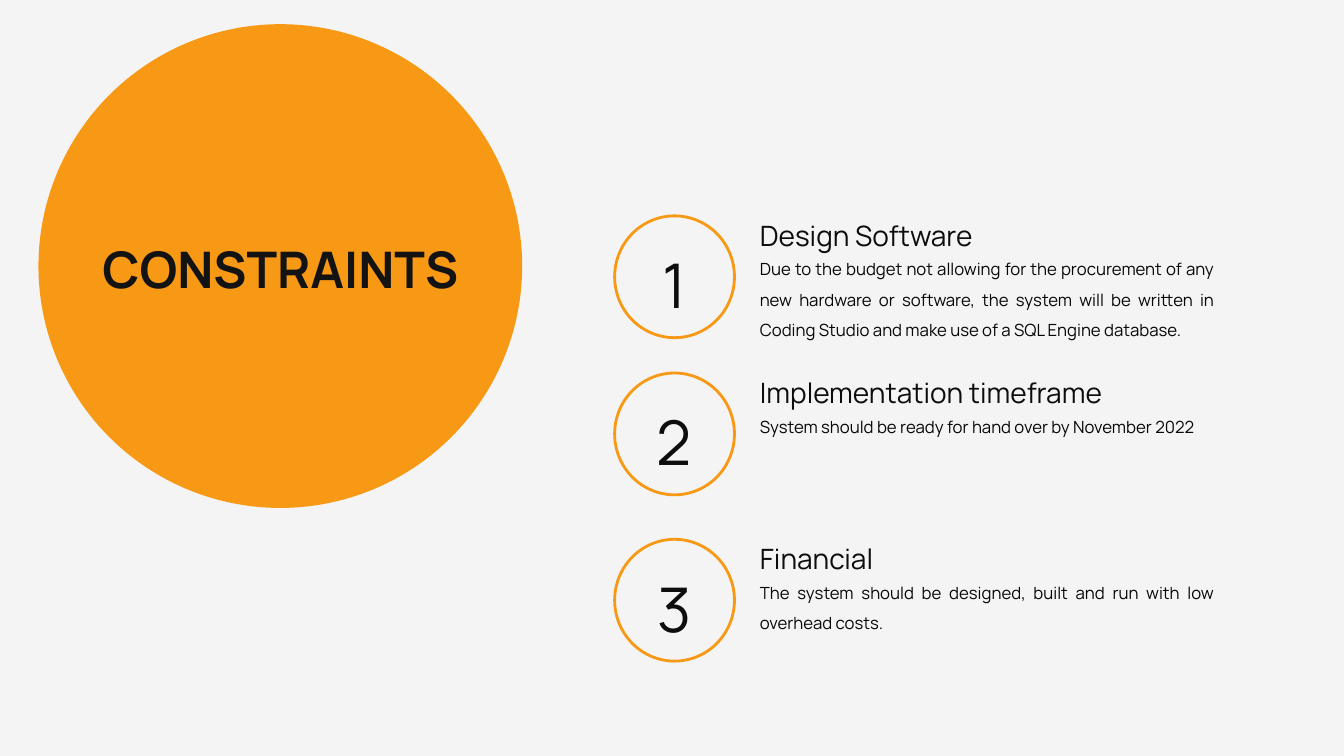
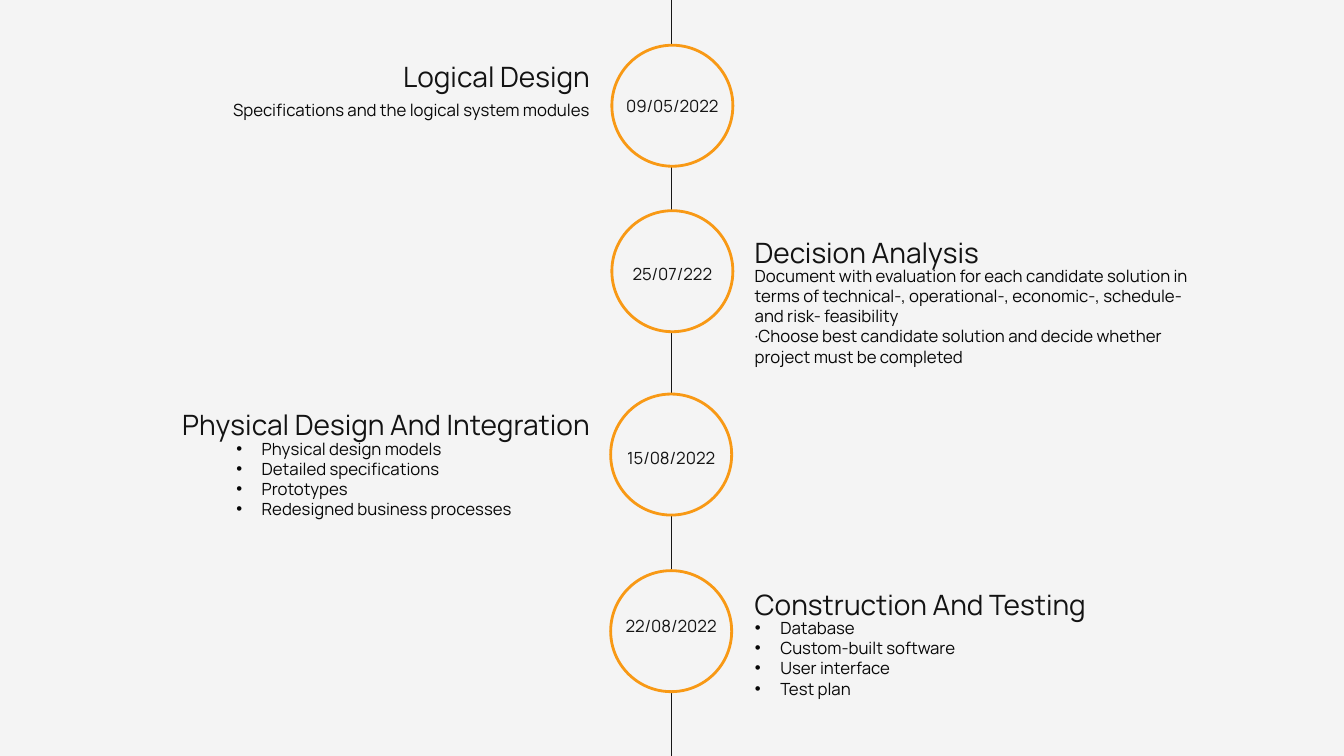
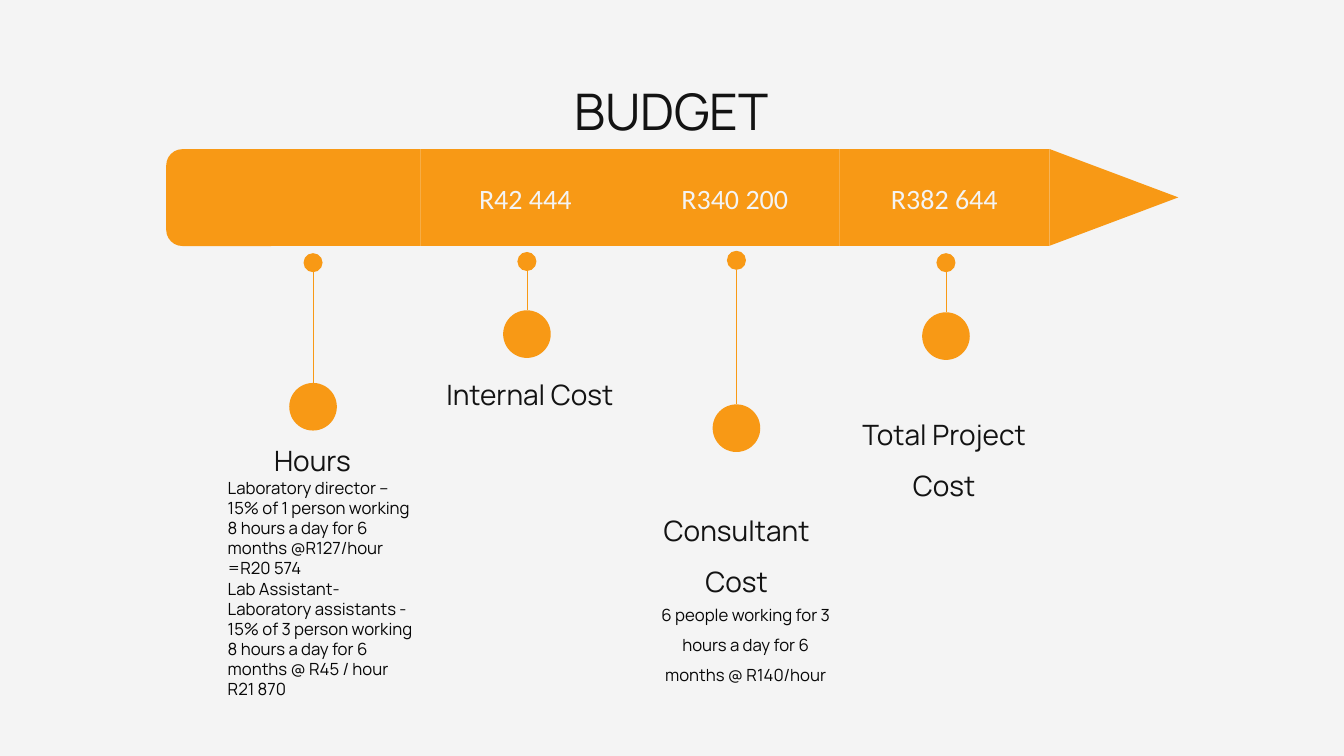
from pptx import Presentation
from pptx.dml.color import RGBColor
from pptx.enum.shapes import MSO_CONNECTOR, MSO_SHAPE
from pptx.enum.text import MSO_ANCHOR, MSO_AUTO_SIZE, PP_ALIGN
from pptx.oxml.ns import qn
from pptx.util import Cm, Pt
from lxml import etree

# Shared look
COLORS = {"paper": "F4F4F4", "accent": "F89915", "ink": "131313",
          "dark": "0D0D0D", "body": "070707", "line": "171717"}
FONTS = {
    "title": ("ink", {"name": "Manrope", "size": Pt(36), "bold": False}),
    "strong title": ("ink", {"name": "Manrope", "size": Pt(36), "bold": True}),
    "heading": ("ink", {"name": "Manrope", "size": Pt(20)}),
    "dark heading": ("dark", {"name": "Manrope", "size": Pt(20)}),
    "number": ("dark", {"name": "Manrope", "size": Pt(44)}),
    "date": ("ink", {"name": "Manrope", "size": Pt(12)}),
    "body": ("body", {"name": "Manrope", "size": Pt(12)}),
    "amount": ("paper", {"name": "Calibri", "size": Pt(20)}),
}
FRAME = {"word_wrap": True, "auto_size": MSO_AUTO_SIZE.NONE,
         "vertical_anchor": MSO_ANCHOR.TOP}
LEFT, CENTER, RIGHT, JUSTIFY = (PP_ALIGN.LEFT, PP_ALIGN.CENTER,
                                PP_ALIGN.RIGHT, PP_ALIGN.JUSTIFY)
TITLE_ONLY, TWO_CONTENT = 5, 3


def rgb(name):
    return RGBColor.from_string(COLORS[name])


def set_attrs(obj, values):
    for key, value in values.items():
        setattr(obj, key, value)


def write(sp, lines, style, align, spacing):
    """Fill a text box or placeholder, one paragraph per line."""
    tf = sp.text_frame
    set_attrs(tf, FRAME)
    color, font = FONTS[style]
    for i, line in enumerate(lines):
        p = tf.add_paragraph() if i else tf.paragraphs[0]
        set_attrs(p, {"alignment": align, "line_spacing": spacing,
                      "space_before": Pt(0)})
        r = p.add_run()
        r.text = line
        set_attrs(r.font, font)
        r.font.color.rgb = rgb(color)


def add_text(slide, box, text, style, align=CENTER, spacing=1.5):
    sp = slide.shapes.add_textbox(*map(Cm, box))
    write(sp, text.split("\n"), style, align, spacing)


def place(sp, box):
    set_attrs(sp, dict(zip(("left", "top", "width", "height"), map(Cm, box))))


def add_title(slide, box, text, style):
    sp = slide.shapes.title
    place(sp, box)
    write(sp, [text], style, CENTER, 1.5)
    slide.shapes._spTree.append(sp._element)  # in front of the shapes


def add_list(sp, box, items, indent):
    place(sp, box)
    write(sp, items, "body", LEFT, 1.0)
    for p in sp.text_frame.paragraphs:
        pPr = p._p.get_or_add_pPr()
        pPr.set("marL", str(Cm(indent)))
        pPr.set("indent", str(-Cm(0.64)))
        etree.SubElement(pPr, qn("a:buFont")).set("typeface", "Arial")
        etree.SubElement(pPr, qn("a:buChar")).set("char", "•")


def add_shape(slide, kind, box, fill=None, line=None):
    sp = slide.shapes.add_shape(kind, *map(Cm, box))
    sp.shadow.inherit = False
    if fill:
        sp.fill.solid()
        sp.fill.fore_color.rgb = rgb(fill)
    else:
        sp.fill.background()
    if line:
        sp.line.color.rgb = rgb(line)
        sp.line.width = Pt(2)
    else:
        sp.line.fill.background()
    return sp


def add_vline(slide, x, top, bottom, color):
    ln = slide.shapes.add_connector(MSO_CONNECTOR.STRAIGHT,
                                    Cm(x), Cm(top), Cm(x), Cm(bottom))
    ln.line.color.rgb = rgb(color)
    ln.line.width = Pt(0.5)
    etree.SubElement(ln._element.spPr, qn("a:effectLst"))


def new_slide(prs, layout):
    return prs.slides.add_slide(prs.slide_layouts[layout])


def constraints_slide(prs):
    slide = new_slide(prs, TITLE_ONLY)
    rows = [
        (5.44, "Design Software",
         "Due to the budget not allowing for the procurement of any new hardware "
         "or software, the system will be written in Coding Studio and make use "
         "of a SQL Engine database."),
        (9.4, "Implementation timeframe",
         "System should be ready for hand over by November 2022"),
        (13.59, "Financial",
         "The system should be designed, built and run with low overhead costs."),
    ]
    for n, (top, heading, text) in enumerate(rows, 1):
        add_shape(slide, MSO_SHAPE.OVAL, (15.49, top, 3.02, 3.07), line="accent")
        add_text(slide, (15.49, top - 0.27, 3.02, 3.07), str(n), "number")
        add_text(slide, (18.9, top + 0.71, 11.96, 2.46), text, "body", JUSTIFY)
        add_text(slide, (18.9, top - 0.48, 11.96, 1.4), heading,
                 "dark heading", JUSTIFY)
    add_shape(slide, MSO_SHAPE.OVAL, (0.97, 0.61, 12.19, 12.19), "accent")
    add_title(slide, (-1.52, 5.11, 17.17, 2.29), "CONSTRAINTS", "strong title")


def timeline_slide(prs):
    slide = new_slide(prs, TWO_CONTENT)
    title, *bodies = slide.placeholders
    title._element.getparent().remove(title._element)
    add_vline(slide, 16.93, 0, 19.05, "line")

    # Circle left and top, date top, date, text side, heading top, heading
    stages = [
        (15.42, 1.14, 2.03, "09/05/2022", RIGHT, 0.94, "Logical Design"),
        (15.42, 5.31, 6.27, "25/07/222", LEFT, 5.38, "Decision Analysis"),
        (15.39, 9.93, 10.9, "15/08/2022", RIGHT, 9.73,
         "Physical Design And Integration"),
        (15.39, 14.38, 15.14, "22/08/2022", LEFT, 14.25,
         "Construction And Testing"),
    ]
    details = []
    for x, top, date_top, date, align, text_top, heading in stages:
        add_shape(slide, MSO_SHAPE.OVAL, (x, top, 3.05, 3.05), "paper", "accent")
        add_text(slide, (x, date_top, 3.05, 0.94), date, "date")
        left = 3.16 if align == RIGHT else 18.77
        add_text(slide, (left, text_top, 11.96, 1.4), heading, "heading", align)
        details.append((left, text_top + 1.19, 11.96, 2.4))

    # Text under the headings
    logical, decision, physical, construction = details
    add_text(slide, logical, "Specifications and the logical system modules",
             "body", RIGHT)
    add_text(slide, decision,
             "Document with evaluation for each candidate solution in terms of "
             "technical-, operational-, economic-, schedule- and risk- feasibility\n"
             "·Choose best candidate solution and decide whether project must be "
             "completed", "body", LEFT, 1.0)
    add_list(bodies[0], physical,
             ["Physical design models", "Detailed specifications", "Prototypes",
              "Redesigned business processes"], 3.18)
    add_list(bodies[1], construction,
             ["Database", "Custom-built software", "User interface", "Test plan"],
             0.64)


def budget_slide(prs):
    slide = new_slide(prs, TITLE_ONLY)
    # Pencil-shaped bar
    top, height, cell = 3.76, 2.44, 5.28
    add_shape(slide, MSO_SHAPE.ROUNDED_RECTANGLE, (4.19, top, 3.05, height),
              "accent")
    for i, amount in enumerate(["", "R42 444", "R340 200", "R382 644"]):
        x = 5.32 + i * cell
        add_shape(slide, MSO_SHAPE.RECTANGLE, (x, top, cell, height), "accent")
        if amount:
            add_text(slide, (x, 4.44, cell, 1.12), amount, "amount", CENTER, 1.0)
    tip = add_shape(slide, MSO_SHAPE.ISOSCELES_TRIANGLE,
                    (26.85, 3.35, height, 3.25), "accent")
    tip.rotation = 90

    # Pins: centre, small dot top, large dot top, label left and top, label
    small, large = 0.48, 1.2
    pins = [
        (7.89, 6.38, 9.65, 5.26, 10.64, "Hours"),
        (13.28, 6.35, 7.82, 10.74, 8.97, "Internal Cost"),
        (18.56, 6.32, 10.19, 15.95, 12.4, "Consultant Cost"),
        (23.84, 6.38, 7.87, 21.18, 9.98, "Total Project Cost"),
    ]
    for x, dot_top, end_top, left, label_top, label in pins:
        add_vline(slide, x, dot_top + small, end_top, "accent")
        for y, d in ((dot_top, small), (end_top, large)):
            add_shape(slide, MSO_SHAPE.OVAL, (x - d / 2, y, d, d), "accent")
        add_text(slide, (left, label_top, 5.23, 1.4), label, "heading")

    # Notes
    add_text(slide, (5.49, 11.91, 5.23, 6.2),
             "Laboratory director – 15% of 1 person working 8 hours a day for 6 "
             "months @R127/hour\n=R20 574\nLab Assistant-\n"
             "Laboratory assistants - 15% of 3 person working 8 hours a day for 6 "
             "months @ R45 / hour\nR21 870", "body", LEFT, 1.0)
    add_text(slide, (16.18, 14.86, 5.23, 2.46),
             "6 people working for 3 hours a day for 6 months @ R140/hour", "body")
    add_title(slide, (1.57, 1.14, 30.71, 2.29), "BUDGET", "title")


def main():
    prs = Presentation()
    set_attrs(prs, {"slide_width": Cm(33.87), "slide_height": Cm(19.05)})
    fill = prs.slide_master.background.fill
    fill.solid()
    fill.fore_color.rgb = rgb("paper")
    for build in (constraints_slide, timeline_slide, budget_slide):
        build(prs)
    prs.save("out.pptx")


if __name__ == "__main__":
    main()
